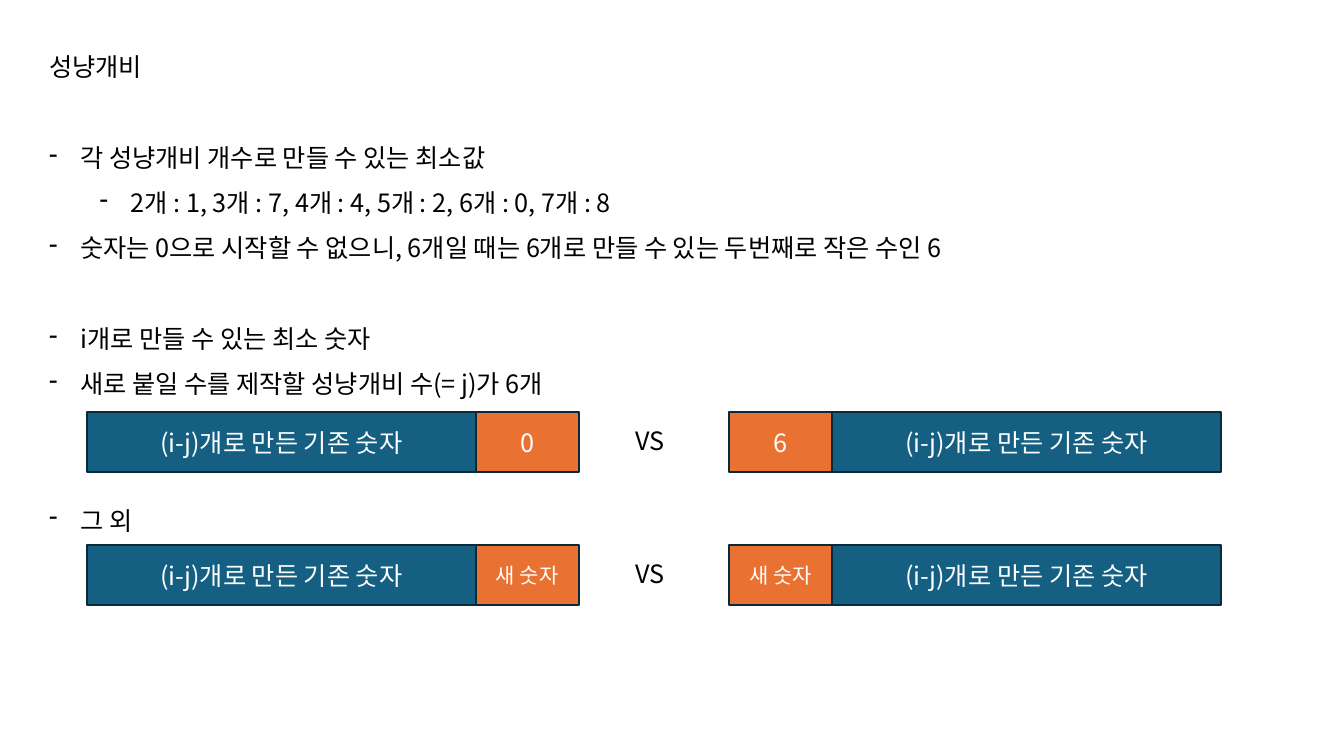
from lxml.etree import SubElement
from pptx import Presentation
from pptx.dml.color import RGBColor
from pptx.enum.shapes import MSO_SHAPE
from pptx.enum.text import MSO_ANCHOR, MSO_AUTO_SIZE, PP_ALIGN
from pptx.oxml.ns import qn
from pptx.util import Inches, Pt

BLACK = RGBColor(0x00, 0x00, 0x00)
WHITE = RGBColor(0xFF, 0xFF, 0xFF)
BLUE = RGBColor(0x15, 0x60, 0x82)
ORANGE = RGBColor(0xE9, 0x71, 0x32)
NAVY = RGBColor(0x09, 0x2A, 0x39)

LINE = 32.4  # height of one text line in points
OLD = "(i-j)개로 만든 기존 숫자"

# Text, level, empty lines above
NOTES = [
    ("각 성냥개비 개수로 만들 수 있는 최소값", 0, 0),
    ("2개 : 1, 3개 : 7, 4개 : 4, 5개 : 2, 6개 : 0, 7개 : 8", 1, 0),
    ("숫자는 0으로 시작할 수 없으니, 6개일 때는 6개로 만들 수 있는 두번째로 작은 수인 6", 0, 0),
    ("i개로 만들 수 있는 최소 숫자", 0, 1),
    ("새로 붙일 수를 제작할 성냥개비 수(= j)가 6개", 0, 0),
    ("그 외", 0, 2),
]

# Top of row, digit put last, digit put first, text size of the digits
ROWS = [(4.09, "0", "6", 18), (5.41, "새 숫자", "새 숫자", 15)]


class Board:
    face = "Noto Sans CJK KR"
    frame = {"word_wrap": True, "auto_size": MSO_AUTO_SIZE.NONE}

    def __init__(self, slide):
        self.slide = slide

    def text(self, para, words, size=18, color=BLACK, **form):
        for name, value in form.items():
            setattr(para, name, value)
        run = para.add_run()
        run.text = words
        run.font.size = Pt(size)
        run.font.color.rgb = color
        run.font.name = self.face
        SubElement(run.font._element, qn("a:ea"), typeface=self.face)

    def setup(self, frame, **form):
        for name, value in (self.frame | form).items():
            setattr(frame, name, value)
        return frame.paragraphs[0]

    def title(self, words, x, y, w, h):
        shape = self.slide.shapes.title
        box = {"left": x, "top": y, "width": w, "height": h}
        for name, value in box.items():
            setattr(shape, name, Inches(value))
        para = self.setup(shape.text_frame, vertical_anchor=MSO_ANCHOR.TOP)
        self.text(para, words, alignment=PP_ALIGN.LEFT, line_spacing=1.5)

    def label(self, words, x, y, w, h):
        box = self.slide.shapes.add_textbox(*map(Inches, (x, y, w, h)))
        self.text(self.setup(box.text_frame, word_wrap=False), words)

    def bullets(self, items, x, y, w, h):
        box = self.slide.shapes.add_textbox(*map(Inches, (x, y, w, h)))
        para = self.setup(box.text_frame)
        for count, (words, level, gap) in enumerate(items):
            if count:
                para = box.text_frame.add_paragraph()
            self.text(para, words, level=level, line_spacing=1.5,
                      space_before=Pt(gap * LINE))
            props = para._p.get_or_add_pPr()
            props.set("marL", str(Inches(0.31 + 0.5 * level)))
            props.set("indent", str(Inches(-0.31)))
            SubElement(props, qn("a:buChar"), char="-")

    def block(self, words, x, y, w, h, fill, size=18):
        shape = self.slide.shapes.add_shape(
            MSO_SHAPE.RECTANGLE, *map(Inches, (x, y, w, h)))
        shape.shadow.inherit = False
        shape.fill.solid()
        shape.fill.fore_color.rgb = fill
        shape.line.color.rgb = NAVY
        shape.line.width = Pt(1.5)
        para = self.setup(shape.text_frame, vertical_anchor=MSO_ANCHOR.MIDDLE)
        self.text(para, words, size, WHITE, alignment=PP_ALIGN.CENTER)


def main():
    deck = Presentation()
    deck.slide_width, deck.slide_height = Inches(13.33), Inches(7.5)
    board = Board(deck.slides.add_slide(deck.slide_layouts[5]))

    # Heading and notes
    board.title("성냥개비", 0.39, 0.31, 11.96, 0.6)
    board.bullets(NOTES, 0.39, 1.21, 11.96, 4.14)

    # Digit at the end versus digit at the front
    wide, slim, high = 3.86, 1.02, 0.59
    left, right = 0.86, 7.23
    for top, last, first, size in ROWS:
        board.block(OLD, left, top, wide, high, BLUE)
        board.block(last, left + wide, top, slim, high, ORANGE, size)
        board.block(OLD, right + slim, top, wide, high, BLUE)
        board.block(first, right, top, slim, high, ORANGE, size)
        board.label("VS", 6.2, top + 0.08, 0.56, 0.4)

    deck.save("out.pptx")


if __name__ == "__main__":
    main()
